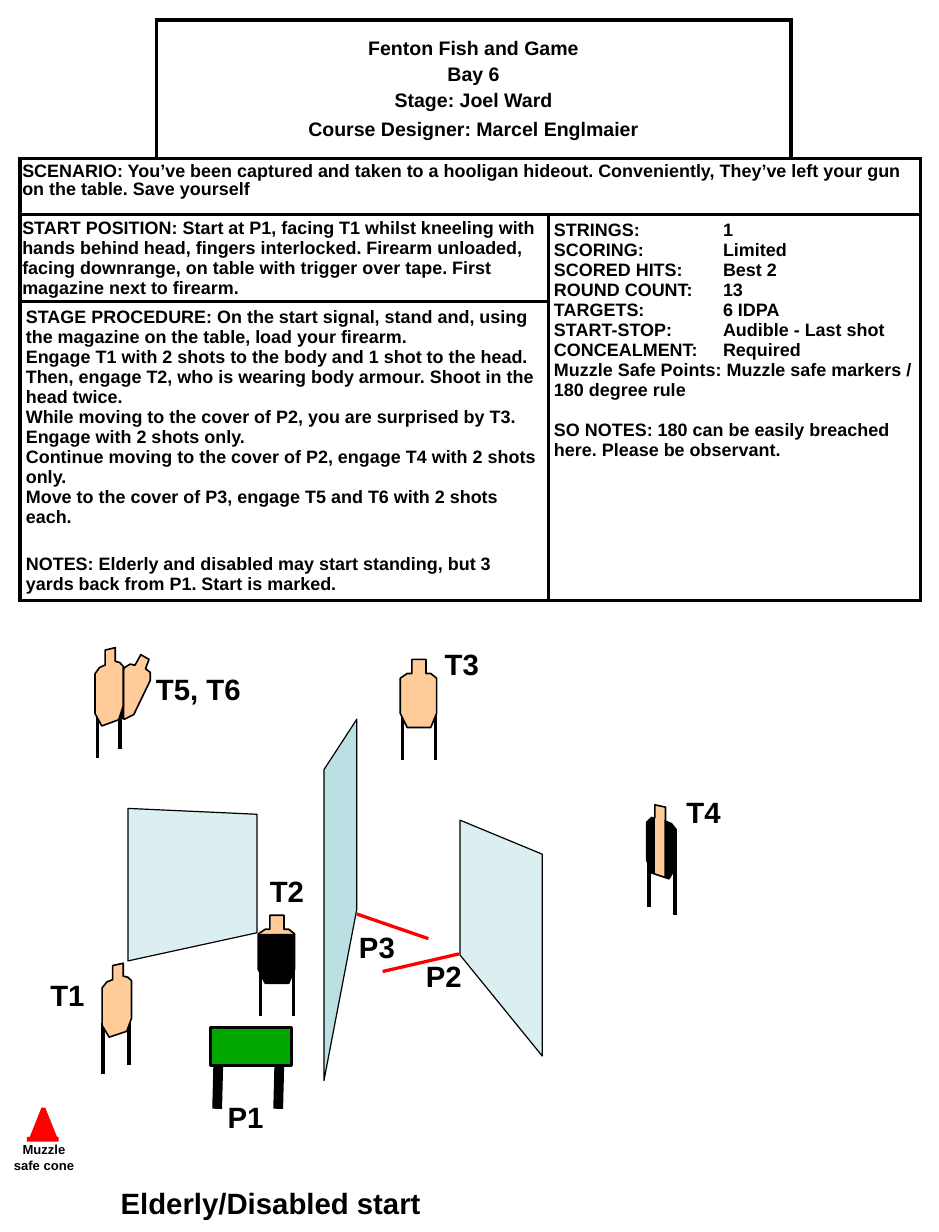
from lxml import etree
from pptx import Presentation
from pptx.dml.color import RGBColor
from pptx.enum.shapes import MSO_CONNECTOR, MSO_SHAPE
from pptx.enum.text import MSO_ANCHOR, PP_ALIGN
from pptx.oxml.ns import qn
from pptx.util import Inches, Pt

STRAIGHT = MSO_CONNECTOR.STRAIGHT
RECT, CONE = MSO_SHAPE.RECTANGLE, MSO_SHAPE.ISOSCELES_TRIANGLE
MID, MIDDLE = PP_ALIGN.CENTER, MSO_ANCHOR.MIDDLE

THEME = {
    "font": "Arial", "ink": "000000", "paper": "FFFFFF", "red": "FF0000",
    "tan": "FFCC99", "glass": "BBE0E3", "green": "00A800",
    "head": 12, "body": 11, "label": 18, "small": 8, "border": 2.25,
}

COLS = [1.16, 3.34, 2.07, 1.1]
ROWS = [1.18, 0.48, 0.74, 2.55]
GRID = (0.17, 0.17)
OPEN = {(0, 0): "LT", (0, 3): "RT"}
TAB = 1.44

CELLS = [
    (0, 1, 1, 2, "head", (0.05, 0.05), [
        ("Fenton Fish and Game", {"alignment": MID}),
        ("Bay 6", {"alignment": MID, "space_before": Pt(2.4)}),
        ("Stage: Joel Ward", {"alignment": MID, "space_before": Pt(2.4)}),
        ("Course Designer: Marcel Englmaier", {"alignment": MID, "space_before": Pt(4.2)}),
    ]),
    (1, 0, 1, 4, "body", (0.02, 0.04), [
        ("SCENARIO: You’ve been captured and taken to a hooligan hideout. Conveniently, "
         "They’ve left your gun on the table. Save yourself", {"line_spacing": 0.9}),
    ]),
    (2, 0, 1, 2, "body", (0.02, 0.03), [
        ("START POSITION: Start at P1, facing T1 whilst kneeling with hands behind head, "
         "fingers interlocked. Firearm unloaded, facing downrange, on table with trigger "
         "over tape. First magazine next to firearm.", {}),
    ]),
    (2, 2, 2, 2, "body", (0.05, 0.05), [
        ("STRINGS:\t1", {}),
        ("SCORING:\tLimited", {}),
        ("SCORED HITS:\tBest 2", {}),
        ("ROUND COUNT:\t13", {}),
        ("TARGETS:\t6 IDPA", {}),
        ("START-STOP:\tAudible - Last shot", {}),
        ("CONCEALMENT:\tRequired", {}),
        ("Muzzle Safe Points: Muzzle safe markers / 180 degree rule", {}),
        ("SO NOTES: 180 can be easily breached here. Please be observant.",
         {"space_before": Pt(12.3)}),
    ]),
    (3, 0, 1, 2, "body", (0.05, 0.05), [
        ("STAGE PROCEDURE: On the start signal, stand and, using the magazine on the "
         "table, load your firearm.", {}),
        ("Engage T1 with 2 shots to the body and 1 shot to the head.", {}),
        ("Then, engage T2, who is wearing body armour. Shoot in the head twice.", {}),
        ("While moving to the cover of P2, you are surprised by T3. Engage with 2 shots only.", {}),
        ("Continue moving to the cover of P2, engage T4 with 2 shots only.", {}),
        ("Move to the cover of P3, engage T5 and T6 with 2 shots each.", {}),
        ("NOTES: Elderly and disabled may start standing, but 3 yards back from P1. "
         "Start is marked.", {"space_before": Pt(16.5)}),
    ]),
]

FRONT = [(0.1, 0), (0.22, 0), (0.22, 0.12), (0.26, 0.12), (0.31, 0.16), (0.31, 0.46),
         (0.26, 0.58), (0.06, 0.58), (0, 0.46), (0, 0.16), (0.06, 0.12), (0.1, 0.12)]
SIDE = [(0.09, 0.02), (0.18, 0), (0.18, 0.11), (0.22, 0.12), (0.25, 0.15), (0.25, 0.47),
        (0.21, 0.58), (0.06, 0.63), (0, 0.53), (0, 0.21), (0.04, 0.16), (0.09, 0.14)]
VEST = FRONT[4:10]
PLATES = [[(0, 0.53), (0.06, 0.63), (0.1, 0.62), (0.1, 0.13), (0.06, 0.15), (0, 0.21)],
          [(0.18, 0.11), (0.21, 0.1), (0.25, 0.15), (0.25, 0.46), (0.22, 0.57), (0.18, 0.59)]]
LEAN = [(1.2, 5.58), (1.27, 5.62), (1.24, 5.7), (1.28, 5.73), (1.28, 5.8), (1.14, 6.09),
        (1.06, 6.13), (0.93, 6.06), (0.94, 5.94), (1.06, 5.69), (1.11, 5.66), (1.15, 5.67)]
SHADE = [(1.06, 6.13), (0.93, 6.05), (0.93, 5.94), (1.06, 5.68)]


def place(pts, x, y, sx=1, sy=1):
    return [(x + sx * a, y + sy * b) for a, b in pts]


def body(pts):
    return ("poly", pts, "tan", 1, 100)


def dark(pts):
    return ("poly", pts, "ink", 0, 100)


def stand(tops, size):
    return [("line", (x, y), (x, y + size), "ink", 2.25) for x, y in tops]


def front(x, y):
    return stand(place([(0.02, 0.43), (0.3, 0.43)], x, y), 0.43) + [body(place(FRONT, x, y))]


def side(x, y, flip=1):
    legs = place([(0.01, 0.51), (0.23, 0.44)], x, y, flip)
    return stand(legs, 0.43) + [body(place(SIDE, x, y, flip))]


def label(text, x, y, width=0.58):
    return ("text", text, (x, y, width, 0.4), "label", {})


SCENE = [
    [("line", (3.91, 8.13), (3.26, 8.28), "red", 2)],
    [label("P1", 1.84, 9.32)],
    [label("T1", 0.33, 8.28)],
    [("box", CONE, (0.25, 9.4, 0.24, 0.3), "red"),
     ("box", RECT, (0.31, 9.4, 0.12, 0.04), "paper"),
     ("box", RECT, (0.23, 9.69, 0.27, 0.04), "red"),
     ("text", "Muzzle safe cone", (0, 9.68, 0.75, 0.37), "small", {"alignment": MID})],
    side(0.87, 8.21),
    front(2.2, 7.8) + [dark(place(VEST, 2.2, 7.8))],
    front(3.41, 5.62),
    side(5.76, 6.86, -1) + [dark(place(p, 5.76, 6.86, -1)) for p in PLATES],
    [body(LEAN), dark(SHADE)] + stand([(0.83, 5.94), (1.02, 5.86)], 0.52)
    + [body(place(SIDE, 0.81, 5.52, 0.96, 1.06))],
    [("poly", [(x, 9.06), (x - 0.01, 9.45)], "green", 6, 100) for x in (2.38, 1.86)]
    + [("poly", [(1.79, 8.76), (2.48, 8.76), (2.48, 9.08), (1.79, 9.08)], "green", 1.75, 100)],
    [("poly", [(3.04, 7.75), (2.76, 9.21), (2.76, 6.56), (3.04, 6.13)], "glass", 0.75, 100)],
    [("poly", [(1.09, 8.19), (1.09, 6.89), (2.19, 6.94), (2.19, 7.95)], "glass", 0.75, 50)],
    [("poly", [(3.92, 8.14), (4.62, 9), (4.62, 7.28), (3.92, 6.99)], "glass", 0.75, 50)],
    [label("P2", 3.53, 8.12)],
    [label("P3", 2.96, 7.87)],
    [("line", (3.65, 8), (3.04, 7.79), "red", 2)],
    [label("T2", 2.2, 7.39)],
    [label("T4", 5.75, 6.72)],
    [label("T3", 3.69, 5.46)],
    [label("T5, T6", 1.23, 5.67, 0.99)],
    [label("Elderly/Disabled start", 0.93, 10.05, 3.67)],
]


def tint(name):
    return RGBColor.from_string(THEME[name])


def paint(fill, name):
    fill.solid()
    fill.fore_color.rgb = tint(name)


def write(frame, paras, size):
    for i, (text, style) in enumerate(paras):
        para = frame.add_paragraph() if i else frame.paragraphs[0]
        if "\t" in text:
            tabs = etree.SubElement(para._p.get_or_add_pPr(), qn("a:tabLst"))
            etree.SubElement(tabs, qn("a:tab"), pos=str(Inches(TAB)), algn="l")
        for key, val in style.items():
            setattr(para, key, val)
        run = para.add_run()
        run.text = text
        look = {"name": THEME["font"], "size": Pt(THEME[size]), "bold": True}
        for key, val in look.items():
            setattr(run.font, key, val)
        run.font.color.rgb = tint("ink")


def add_line(shapes, start, end, name, width):
    line = shapes.add_connector(STRAIGHT, *map(Inches, start + end))
    line.line.color.rgb = tint(name)
    line.line.width = Pt(width)
    etree.SubElement(line._element.spPr, qn("a:effectLst"))


def add_poly(shapes, pts, name, width, alpha):
    pts = [(Inches(x), Inches(y)) for x, y in pts]
    pen = shapes.build_freeform(*pts[0], scale=1.0)
    pen.add_line_segments(pts[1:], close=True)
    shape = pen.convert_to_shape()
    shape.shadow.inherit = False
    paint(shape.fill, name)
    if alpha < 100:
        clr = shape._element.spPr.find(qn("a:solidFill"))[0]
        etree.SubElement(clr, qn("a:alpha"), val=str(alpha * 1000))
    if width:
        shape.line.color.rgb = tint("ink")
        shape.line.width = Pt(width)
    else:
        shape.line.fill.background()


def add_box(shapes, kind, at, name):
    shape = shapes.add_shape(kind, *map(Inches, at))
    shape.shadow.inherit = False
    paint(shape.fill, name)
    shape.line.fill.background()


def add_text(shapes, text, at, size, style):
    frame = shapes.add_textbox(*map(Inches, at)).text_frame
    frame.word_wrap = True
    write(frame, [(text, style)], size)


def edge(cell, skip):
    props = cell._tc.get_or_add_tcPr()
    for mark in "LRTB":
        line = etree.SubElement(props, qn("a:ln" + mark), w=str(Pt(THEME["border"])))
        if mark in skip:
            etree.SubElement(line, qn("a:noFill"))
        else:
            fill = etree.SubElement(line, qn("a:solidFill"))
            etree.SubElement(fill, qn("a:srgbClr"), val=THEME["ink"])


def add_grid(shapes):
    area = map(Inches, (*GRID, sum(COLS), sum(ROWS)))
    grid = shapes.add_table(len(ROWS), len(COLS), *area).table
    grid.first_row = grid.horz_banding = False
    for col, width in zip(grid.columns, COLS):
        col.width = Inches(width)
    for r, high in enumerate(ROWS):
        grid.rows[r].height = Inches(high)
        for c in range(len(COLS)):
            edge(grid.cell(r, c), OPEN.get((r, c), ""))
            paint(grid.cell(r, c).fill, "paper")
    for r, c, down, wide, size, (dx, dy), paras in CELLS:
        cell = grid.cell(r, c)
        cell.merge(grid.cell(r + down - 1, c + wide - 1))
        cell.margin_left = cell.margin_right = Inches(dx)
        cell.margin_top = cell.margin_bottom = Inches(dy)
        if size == "head":
            cell.vertical_anchor = MIDDLE
        write(cell.text_frame, paras, size)


DRAW = {"line": add_line, "poly": add_poly, "box": add_box, "text": add_text}


def main():
    deck = Presentation()
    deck.slide_width, deck.slide_height = Inches(8), Inches(10.5)
    shapes = deck.slides.add_slide(deck.slide_layouts[6]).shapes
    add_grid(shapes)
    for parts in SCENE:
        home = shapes.add_group_shape().shapes if len(parts) > 1 else shapes
        for kind, *rest in parts:
            DRAW[kind](home, *rest)
    deck.save("out.pptx")


if __name__ == "__main__":
    main()
